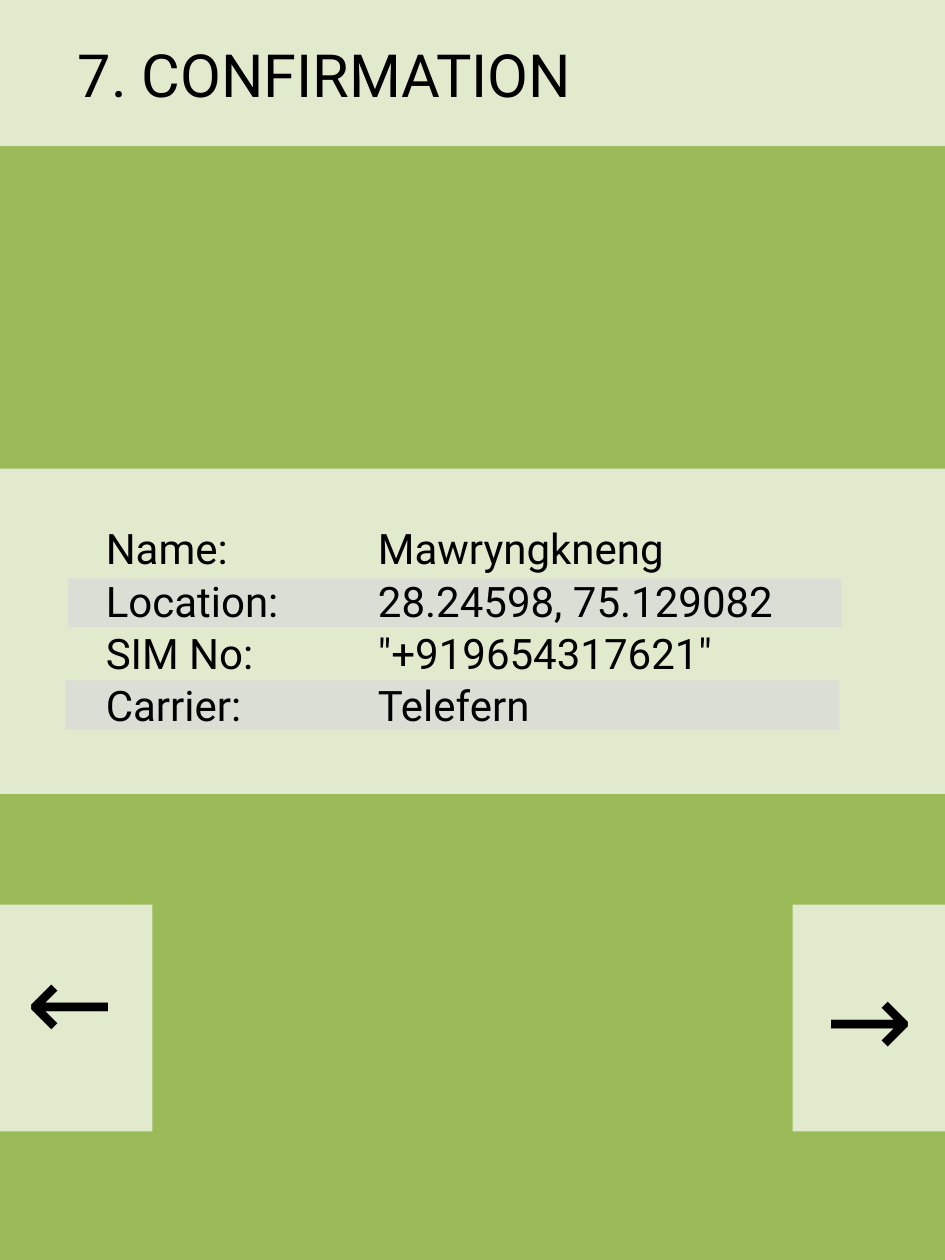
from lxml import etree
from pptx import Presentation
from pptx import util as u
from pptx.dml.color import RGBColor
from pptx.enum import shapes, text
from pptx.oxml.ns import qn

FONT = "Roboto"
BLACK, WHITE, GRAY, GREEN = "000000", "FFFFFF", "D9D9D9", "9BBB59"
PLAIN_TABLE_STYLE = "{2D5ABB26-0587-4C30-8999-92F81FD0307C}"

DETAILS = [
    ("Name:", "Mawryngkneng"),
    ("Location:", "28.24598, 75.129082"),
    ("SIM No:", '"+919654317621"'),
    ("Carrier:", "Telefern"),
]


def set_fill(fill, color, opacity=100):
    fill.solid()
    fill.fore_color.rgb = RGBColor.from_string(color)
    if opacity < 100:
        color_element = fill._xPr.find(".//" + qn("a:srgbClr"))
        alpha = etree.SubElement(color_element, qn("a:alpha"))
        alpha.set("val", str(opacity * 1000))


def add_panel(parent, left, top, width, height, color=WHITE):
    shape = parent.add_shape(
        shapes.MSO_SHAPE.RECTANGLE,
        u.Inches(left), u.Inches(top), u.Inches(width), u.Inches(height))
    shape.shadow.inherit = False
    set_fill(shape.fill, color, opacity=70)
    shape.line.fill.background()


def write_text(frame, content, size, color=BLACK, font=FONT):
    run = frame.paragraphs[0].add_run()
    run.text = content
    run.font.size = u.Pt(size)
    run.font.name = font
    run.font.color.rgb = RGBColor.from_string(color)


def add_text(parent, content, left, top, width, height, size, rotation=0):
    box = parent.add_textbox(
        u.Inches(left), u.Inches(top), u.Inches(width), u.Inches(height))
    box.rotation = rotation
    box.text_frame.word_wrap = True
    box.text_frame.auto_size = text.MSO_AUTO_SIZE.SHAPE_TO_FIT_TEXT
    write_text(box.text_frame, content, size)


def add_details_table(parent, rows, left, top, widths, height):
    frame = parent.add_table(
        len(rows), len(widths),
        u.Inches(left), u.Inches(top), u.Inches(sum(widths)), u.Inches(height))
    table = frame.table
    table.first_row = table.horz_banding = False
    table._tbl.tblPr.find(qn("a:tableStyleId")).text = PLAIN_TABLE_STYLE
    for column, width in zip(table.columns, widths):
        column.width = u.Inches(width)
    for row_index, row in enumerate(rows):
        for column_index, content in enumerate(row):
            cell = table.cell(row_index, column_index)
            cell.fill.background()
            cell.vertical_anchor = text.MSO_ANCHOR.BOTTOM
            cell.margin_left = cell.margin_right = cell.margin_top = u.Inches(0.01)
            cell.margin_bottom = 0
            write_text(cell.text_frame, content, 24)


def main():
    presentation = Presentation()
    presentation.slide_width = u.Inches(7.5)
    presentation.slide_height = u.Inches(10)
    slide = presentation.slides.add_slide(presentation.slide_layouts[6])
    set_fill(slide.background.fill, GREEN)

    # Title
    add_panel(slide.shapes, 0, 0, 7.5, 1.16)
    add_text(slide.shapes, "7. CONFIRMATION", 0.52, 0.25, 6.5, 0.67, size=34)

    # Details with two gray row bands
    details = slide.shapes.add_group_shape().shapes
    add_panel(details, 0, 3.72, 7.5, 2.58)
    for left, top in ((0.54, 4.59), (0.52, 5.4)):
        add_panel(details, left, top, 6.14, 0.39, color=GRAY)
    add_details_table(slide.shapes, DETAILS, 0.83, 4.15, (2.16, 3.66), 1.66)

    # Back and forward buttons
    buttons = slide.shapes.add_group_shape().shapes
    for panel_left, arrow_left, rotation in ((0, 0.15, 180), (6.29, 6.45, 0)):
        add_panel(buttons, panel_left, 7.18, 1.21, 1.8)
        add_text(buttons, "→", arrow_left, 7.51, 0.86, 1.11, size=60, rotation=rotation)

    presentation.save("out.pptx")


if __name__ == "__main__":
    main()
